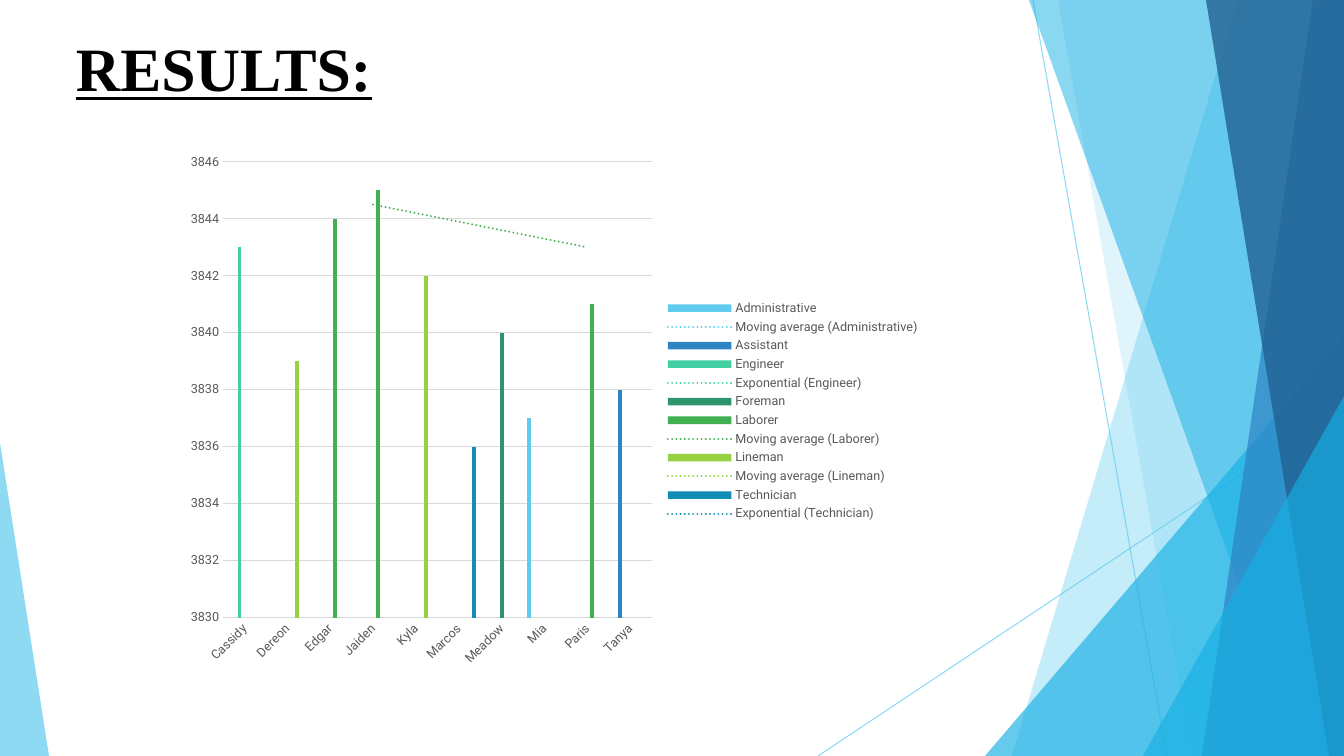
"""Build the results slide: faceted backdrop, heading and column chart with trend lines."""
from dataclasses import dataclass
from typing import Optional, Union

from lxml.etree import SubElement
from pptx import Presentation
from pptx.chart.chart import Chart
from pptx.chart.data import CategoryChartData
from pptx.dml.color import RGBColor
from pptx.dml.fill import FillFormat
from pptx.enum.chart import XL_CHART_TYPE, XL_LEGEND_POSITION, XL_TICK_MARK
from pptx.enum.shapes import MSO_CONNECTOR, MSO_SHAPE
from pptx.oxml import parse_xml
from pptx.oxml.ns import nsdecls, qn
from pptx.slide import Slide
from pptx.text.text import Font
from pptx.util import Emu, Pt

SCALE = 914400 / 100.8
WIDTH, HEIGHT = 1344, 756
COLOURS = {
    "sky": "5FCBEF", "cyan": "17B0E4", "blue": "2E83C3", "navy": "226292",
    "mint": "42D0A2", "pine": "2E946B", "green": "42B051", "lime": "96D141",
    "teal": "128DB6", "black": "000000", "grey": "595959", "grid": "D9D9D9",
}


@dataclass
class Ray:
    start: tuple[int, int]
    end: tuple[int, int]


@dataclass
class Band:
    top_left: int
    bottom_left: int
    colour: str
    opacity: int


@dataclass
class Wedge:
    left: int
    top: int
    width: int
    apex: int
    colour: str
    opacity: int


@dataclass
class Job:
    name: str
    colour: str
    people: dict[str, int]
    trend: Optional[str] = None


BACKDROP: list[Union[Ray, Band, Wedge]] = [
    Ray((1033, 0), (1167, HEIGHT)),
    Ray((WIDTH, 406), (818, HEIGHT)),
    Band(1238, 1012, "sky", 36),
    Band(1058, 1192, "sky", 20),
    Wedge(985, 336, 359, 1, "cyan", 66),
    Band(1029, 1301, "cyan", 50),
    Band(1313, 1202, "blue", 70),
    Band(1206, 1329, "navy", 80),
    Wedge(1143, 396, 201, 1, "cyan", 66),
    Wedge(0, 443, 49, 0, "sky", 70),
]
PEOPLE = ["Cassidy", "Dereon", "Edgar", "Jaiden", "Kyla",
          "Marcos", "Meadow", "Mia", "Paris", "Tanya"]
JOBS = [
    Job("Administrative", "sky", {"Mia": 3837}, "movingAvg"),
    Job("Assistant", "blue", {"Tanya": 3838}),
    Job("Engineer", "mint", {"Cassidy": 3843}, "exp"),
    Job("Foreman", "pine", {"Meadow": 3840}),
    Job("Laborer", "green", {"Edgar": 3844, "Jaiden": 3845, "Paris": 3841}, "movingAvg"),
    Job("Lineman", "lime", {"Dereon": 3839, "Kyla": 3842}, "movingAvg"),
    Job("Technician", "teal", {"Marcos": 3836}, "exp"),
]


def px(length: int) -> Emu:
    return Emu(round(length * SCALE))


def paint(fill: FillFormat, colour: str, opacity: int = 100) -> None:
    fill.solid()
    fill.fore_color.rgb = RGBColor.from_string(COLOURS[colour])
    if opacity < 100:
        colour_element = fill._xPr.find(qn("a:solidFill"))[0]
        SubElement(colour_element, qn("a:alpha")).set("val", str(opacity * 1000))


def style_font(font: Font, name: str, size: int, colour: str) -> None:
    font.name = name
    font.size = Pt(size)
    font.color.rgb = RGBColor.from_string(COLOURS[colour])


def draw_ray(slide: Slide, ray: Ray) -> None:
    line = slide.shapes.add_connector(
        MSO_CONNECTOR.STRAIGHT, *map(px, ray.start + ray.end))
    line.line.width = Pt(0.75)
    paint(line.line.fill, "sky", 70)
    SubElement(line._element.spPr, qn("a:effectLst"))


def draw_facet(slide: Slide, facet: Union[Band, Wedge]) -> None:
    if isinstance(facet, Band):
        builder = slide.shapes.build_freeform(facet.top_left, 0, SCALE)
        builder.add_line_segments(
            [(WIDTH, 0), (WIDTH, HEIGHT), (facet.bottom_left, HEIGHT)], close=True)
        shape = builder.convert_to_shape()
    else:
        shape = slide.shapes.add_shape(
            MSO_SHAPE.ISOSCELES_TRIANGLE, px(facet.left), px(facet.top),
            px(facet.width), px(HEIGHT - facet.top))
        shape.adjustments[0] = facet.apex
    shape.shadow.inherit = False
    shape.line.fill.background()
    paint(shape.fill, facet.colour, facet.opacity)


def draw_heading(slide: Slide) -> None:
    box = slide.shapes.add_textbox(px(66), px(25), px(765), px(85))
    box.text_frame.word_wrap = True
    para = box.text_frame.paragraphs[0]
    para.text = "RESULTS:"
    span = para.runs[0]
    style_font(span.font, "Times New Roman", 44, "black")
    span.font.bold = span.font.underline = True


def style_axes(chart: Chart) -> None:
    for axis in (chart.category_axis, chart.value_axis):
        axis.major_tick_mark = axis.minor_tick_mark = XL_TICK_MARK.NONE
        style_font(axis.tick_labels.font, "Roboto", 9, "grey")
    names, values = chart.category_axis, chart.value_axis
    names._element.txPr.bodyPr.set("rot", "-2700000")
    values.minimum_scale, values.maximum_scale, values.major_unit = 3830, 3846, 2
    values.format.line.fill.background()
    for line in (names.format.line, values.major_gridlines.format.line):
        line.width = Pt(0.75)
        paint(line.fill, "grid")


def place_plot(chart: Chart) -> None:
    sides = {"x": 0.06, "y": 0.03, "w": 0.57, "h": 0.86}
    sizes = "".join(f'<c:{side} val="{share}"/>' for side, share in sides.items())
    layout = parse_xml(
        f'<c:layout {nsdecls("c")}><c:manualLayout><c:layoutTarget val="inner"/>'
        f'<c:xMode val="edge"/><c:yMode val="edge"/>{sizes}</c:manualLayout></c:layout>')
    plot_area = chart._chartSpace.chart.plotArea
    for automatic in plot_area.findall(qn("c:layout")):
        plot_area.remove(automatic)
    plot_area.insert(0, layout)


def trend_line(job: Job):
    period = '<c:period val="2"/>' if job.trend == "movingAvg" else ""
    return parse_xml(
        f'<c:trendline {nsdecls("c", "a")}><c:spPr><a:ln w="19050" cap="rnd"><a:solidFill>'
        f'<a:srgbClr val="{COLOURS[job.colour]}"/></a:solidFill><a:prstDash val="sysDot"/>'
        f'</a:ln></c:spPr><c:trendlineType val="{job.trend}"/>{period}'
        f'<c:dispRSqr val="0"/><c:dispEq val="0"/></c:trendline>')


def draw_chart(slide: Slide) -> None:
    data = CategoryChartData()
    data.categories = PEOPLE
    for job in JOBS:
        data.add_series(job.name, [job.people.get(person) for person in PEOPLE])
    chart = slide.shapes.add_chart(
        XL_CHART_TYPE.COLUMN_CLUSTERED, px(178), px(146), px(752), px(530), data).chart
    chart.has_title = False
    style_font(chart.font, "Roboto", 10, "black")
    chart.has_legend = True
    chart.legend.position = XL_LEGEND_POSITION.RIGHT
    chart.legend.include_in_layout = False
    style_font(chart.legend.font, "Roboto", 9, "grey")
    style_axes(chart)
    place_plot(chart)
    plot = chart.plots[0]
    plot.gap_width, plot.overlap, plot.vary_by_categories = 219, -27, False
    for job, series in zip(JOBS, plot.series):
        paint(series.format.fill, job.colour)
        if job.trend:
            series._element.find(qn("c:cat")).addprevious(trend_line(job))


def main() -> None:
    deck = Presentation()
    deck.slide_width, deck.slide_height = px(WIDTH), px(HEIGHT)
    page = deck.slides.add_slide(deck.slide_layouts[6])
    for piece in BACKDROP:
        if isinstance(piece, Ray):
            draw_ray(page, piece)
        else:
            draw_facet(page, piece)
    draw_heading(page)
    draw_chart(page)
    deck.save("out.pptx")


if __name__ == "__main__":
    main()
